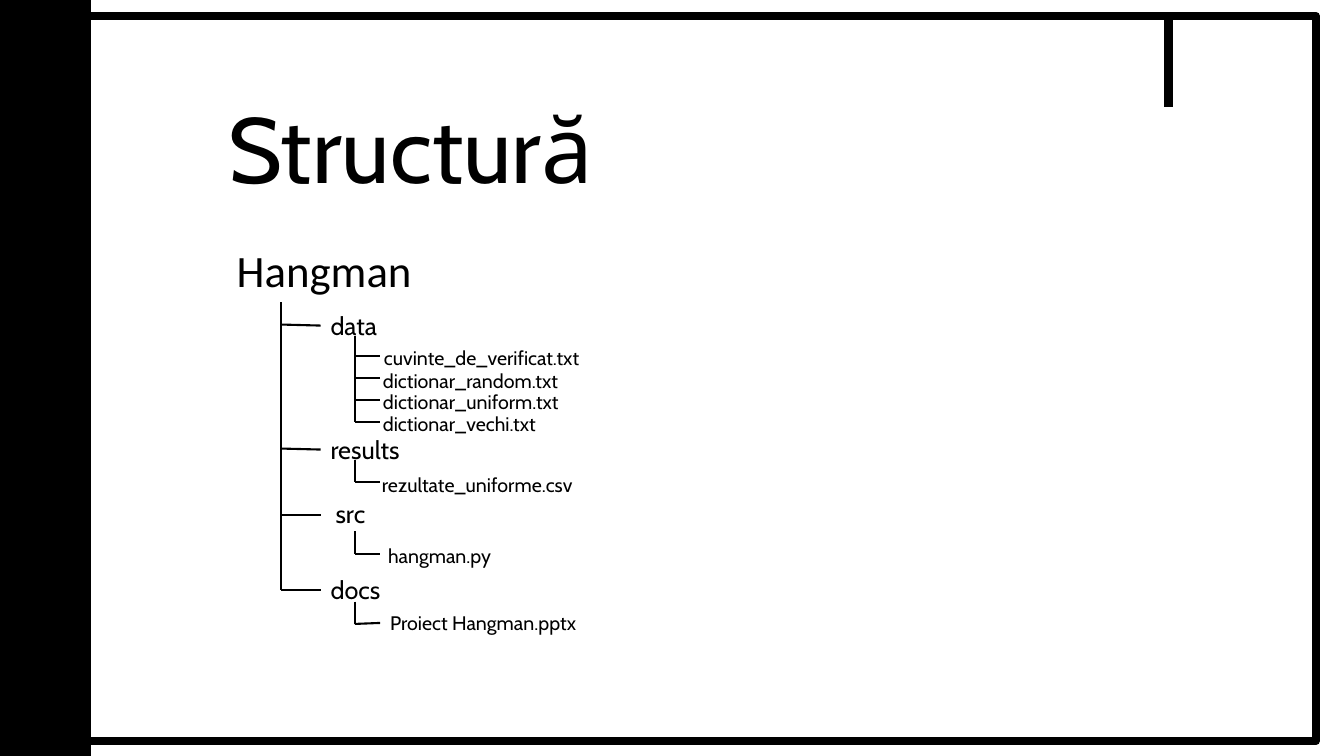
from dataclasses import dataclass

from lxml import etree
from pptx import Presentation
from pptx.dml.color import RGBColor
from pptx.enum.shapes import MSO_CONNECTOR, MSO_SHAPE
from pptx.enum.text import MSO_AUTO_SIZE, PP_ALIGN
from pptx.oxml.ns import qn
from pptx.shapes.autoshape import Shape
from pptx.shapes.connector import Connector
from pptx.slide import Slide
from pptx.util import Inches, Pt

STRAIGHT = MSO_CONNECTOR.STRAIGHT
RECTANGLE = MSO_SHAPE.RECTANGLE
PROCESS = MSO_SHAPE.FLOWCHART_PROCESS
FIT_SHAPE = MSO_AUTO_SIZE.SHAPE_TO_FIT_TEXT
LEFT, CENTER = PP_ALIGN.LEFT, PP_ALIGN.CENTER
LEFT_SIDE = 1


@dataclass(frozen=True)
class Theme:
    ink: RGBColor = RGBColor(0, 0, 0)
    font: str = "Cabin"
    root_font: str = "Calibri"
    title_size: float = 66
    root_size: float = 32
    folder_size: float = 18
    file_size: float = 14
    thin_line: float = 1.5
    frame_line: float = 6


@dataclass(frozen=True)
class Label:
    text: str
    left: float
    top: float
    width: float
    height: float
    size: float
    font: str
    align: PP_ALIGN = LEFT
    wrap: bool = True


@dataclass(frozen=True)
class File:
    name: str
    left: float
    top: float
    width: float
    stem_top: float
    branch_y: float
    wrap: bool = True


@dataclass(frozen=True)
class Folder:
    name: str
    left: float
    top: float
    width: float
    trunk_top: float
    branch_y: float
    files: tuple[File, ...]


THEME = Theme()
TRUNK_X, FOLDER_TIP_X = 2.79, 3.18
STEM_X, FILE_TIP_X = 3.52, 3.77
FOLDER_HEIGHT, FILE_HEIGHT = 0.4, 0.34

TITLE = Label("Structură", 1.49, 0.85, 5.17, 1.21, THEME.title_size, THEME.font, CENTER)
ROOT = Label("Hangman", 2.25, 2.36, 2.54, 0.64, THEME.root_size, THEME.root_font)
FOLDERS = (
    Folder("data", 3.18, 3.03, 0.74, 3.0, 3.22, (
        File("cuvinte_de_verificat.txt", 3.71, 3.38, 2.16, 3.33, 3.53, False),
        File("dictionar_random.txt", 3.7, 3.61, 1.97, 3.53, 3.75, False),
        File("dictionar_uniform.txt", 3.7, 3.82, 1.98, 3.75, 3.97, False),
        File("dictionar_vechi.txt", 3.7, 4.04, 1.76, 3.97, 4.19, False),
    )),
    Folder("results", 3.18, 4.26, 1.03, 3.22, 4.45, (
        File("rezultate_uniforme.csv", 3.69, 4.64, 2.13, 4.56, 4.78, False),
    )),
    Folder("src", 3.23, 4.89, 0.59, 4.45, 5.11, (
        File("hangman.py", 3.75, 5.35, 1.45, 5.27, 5.5),
    )),
    Folder("docs", 3.18, 5.65, 0.79, 5.11, 5.85, (
        File("Proiect Hangman.pptx", 3.77, 6.01, 2.16, 5.97, 6.19),
    )),
)


def add_box(slide: Slide, kind: MSO_SHAPE, left: float, top: float,
            width: float, height: float, line_width: float, filled: bool) -> None:
    shape = slide.shapes.add_shape(
        kind, Inches(left), Inches(top), Inches(width), Inches(height))
    shape.shadow.inherit = False
    if filled:
        shape.fill.solid()
        shape.fill.fore_color.rgb = THEME.ink
    else:
        shape.fill.background()
    shape.line.color.rgb = THEME.ink
    shape.line.width = Pt(line_width)


def add_line(slide: Slide, x1: float, y1: float, x2: float, y2: float,
             width: float = THEME.thin_line) -> Connector:
    line = slide.shapes.add_connector(
        STRAIGHT, Inches(x1), Inches(y1), Inches(x2), Inches(y2))
    line.line.color.rgb = THEME.ink
    line.line.width = Pt(width)
    etree.SubElement(line._element.spPr, qn("a:effectLst"))
    return line


def add_label(slide: Slide, label: Label) -> Shape:
    box = slide.shapes.add_textbox(
        Inches(label.left), Inches(label.top), Inches(label.width), Inches(label.height))
    text_frame = box.text_frame
    text_frame.word_wrap = label.wrap
    text_frame.auto_size = FIT_SHAPE
    text_frame.text = label.text
    paragraph = text_frame.paragraphs[0]
    paragraph.alignment = label.align
    font = paragraph.runs[0].font
    font.name = label.font
    font.size = Pt(label.size)
    font.color.rgb = THEME.ink
    return box


def add_entry(slide: Slide, label: Label, stem_x: float, stem_top: float,
              branch_y: float, tip_x: float) -> None:
    """Draw a tree entry: its stem, its branch and its name."""
    add_line(slide, stem_x, stem_top, stem_x, branch_y)
    branch = add_line(slide, stem_x, branch_y, tip_x, branch_y)
    box = add_label(slide, label)
    if label.left == tip_x:
        branch.end_connect(box, LEFT_SIDE)


def add_folder(slide: Slide, folder: Folder) -> None:
    label = Label(folder.name, folder.left, folder.top, folder.width,
                  FOLDER_HEIGHT, THEME.folder_size, THEME.font)
    add_entry(slide, label, TRUNK_X, folder.trunk_top, folder.branch_y, FOLDER_TIP_X)
    for file in folder.files:
        label = Label(file.name, file.left, file.top, file.width,
                      FILE_HEIGHT, THEME.file_size, THEME.font, wrap=file.wrap)
        add_entry(slide, label, STEM_X, file.stem_top, file.branch_y, FILE_TIP_X)


def main() -> None:
    presentation = Presentation()
    presentation.slide_width = Inches(13.33)
    presentation.slide_height = Inches(7.5)
    slide = presentation.slides.add_slide(presentation.slide_layouts[6])

    # Side band, frame and corner mark
    add_box(slide, RECTANGLE, 0, 0, 0.89, 7.5, THEME.thin_line, True)
    add_box(slide, PROCESS, 0.74, 0.16, 12.31, 7.19, THEME.frame_line, False)
    add_line(slide, 11.59, 0.16, 11.59, 1.06, THEME.frame_line)

    # Title and directory tree
    add_label(slide, TITLE)
    add_label(slide, ROOT)
    for folder in FOLDERS:
        add_folder(slide, folder)

    presentation.save("out.pptx")


if __name__ == "__main__":
    main()
